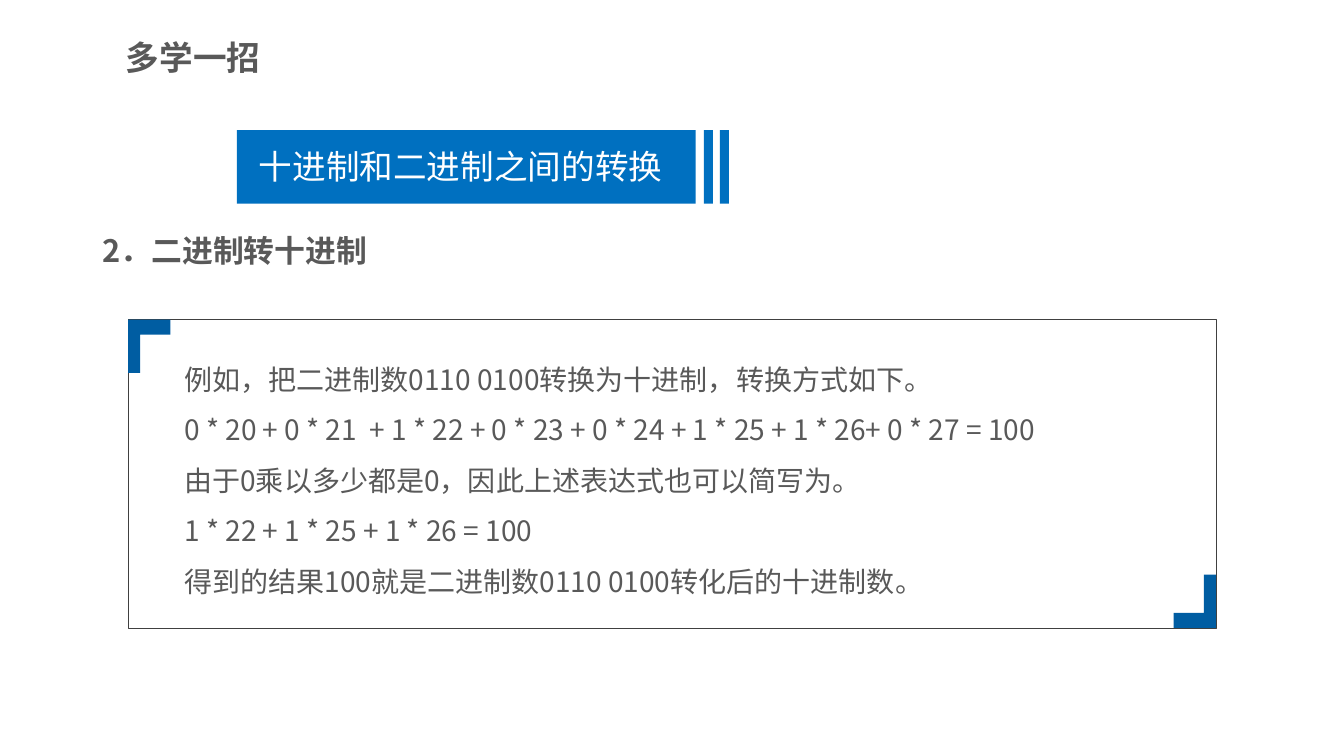
from lxml import etree
from pptx import Presentation
from pptx.dml.color import RGBColor
from pptx.enum.shapes import MSO_SHAPE
from pptx.enum.text import MSO_ANCHOR, PP_ALIGN
from pptx.oxml.ns import qn
from pptx.util import Inches, Pt

HEADING = "多学一招"
BANNER = "十进制和二进制之间的转换"
SECTION = "2．二进制转十进制"
EXAMPLE = [
    "例如，把二进制数0110 0100转换为十进制，转换方式如下。",
    "0 * 20 + 0 * 21  + 1 * 22 + 0 * 23 + 0 * 24 + 1 * 25 + 1 * 26+ 0 * 27 = 100",
    "由于0乘以多少都是0，因此上述表达式也可以简写为。",
    "1 * 22 + 1 * 25 + 1 * 26 = 100",
    "得到的结果100就是二进制数0110 0100转化后的十进制数。",
]

GREY = RGBColor(0x59, 0x59, 0x59)
WHITE = RGBColor(0xFF, 0xFF, 0xFF)
BLUE = RGBColor(0x00, 0x70, 0xC0)
DARK_BLUE = RGBColor(0x00, 0x5D, 0xA2)
FRAME_GREY = RGBColor(0x40, 0x40, 0x40)
CJK_FONT = "Noto Sans CJK SC"

BANNER_TOP, BANNER_HEIGHT = 1.29, 0.73
BANNER_BARS = [(2.35, 4.55), (6.98, 0.09), (7.14, 0.09)]  # left, width
FRAME_LEFT, FRAME_TOP, FRAME_WIDTH, FRAME_HEIGHT = 1.27, 3.17, 10.79, 3.06
# Corner outline, measured inwards from a corner of the frame
CORNER = [(0, 0), (0.42, 0), (0.42, 0.15), (0.12, 0.15), (0.12, 0.53), (0, 0.53)]


def add_text(slide, box, lines, size, color=GREY, font=CJK_FONT, bold=False,
             align=PP_ALIGN.LEFT, spacing=1.0):
    frame = slide.shapes.add_textbox(*map(Inches, box)).text_frame
    frame.word_wrap = True
    frame.text = "\n".join(lines)
    for paragraph in frame.paragraphs:
        paragraph.alignment = align
        paragraph.line_spacing = spacing
        style = paragraph.font
        style.size, style.bold, style.name = Pt(size), bold, font
        style.color.rgb = color
        defaults = paragraph._p.pPr.find(qn("a:defRPr"))
        etree.SubElement(defaults, qn("a:ea")).set("typeface", font)
    return frame


def paint(shape, color):
    shape.shadow.inherit = False
    shape.fill.solid()
    shape.fill.fore_color.rgb = color
    shape.line.fill.background()


def add_corner(slide, x, y, direction):
    """Draw a corner mark at (x, y); direction is 1 or -1 for right-down or left-up."""
    points = [(Inches(x + direction * dx), Inches(y + direction * dy)) for dx, dy in CORNER]
    builder = slide.shapes.build_freeform(*points[0])
    builder.add_line_segments(points[1:], close=True)
    paint(builder.convert_to_shape(), DARK_BLUE)


def main():
    deck = Presentation()
    deck.slide_width, deck.slide_height = Inches(13.33), Inches(7.5)
    slide = deck.slides.add_slide(deck.slide_layouts[6])

    heading = add_text(slide, (1.25, 0.29, 4.26, 0.55), [HEADING], 24, bold=True)
    heading.margin_left = heading.margin_right = 0
    heading.vertical_anchor = MSO_ANCHOR.MIDDLE

    for left, width in BANNER_BARS:
        bar = slide.shapes.add_shape(
            MSO_SHAPE.RECTANGLE, *map(Inches, (left, BANNER_TOP, width, BANNER_HEIGHT)))
        paint(bar, BLUE)
    add_text(slide, (2.47, 1.4, 4.43, 0.5), [BANNER], 24, WHITE, "Arial",
             align=PP_ALIGN.JUSTIFY)

    add_text(slide, (0.92, 2.25, 2.91, 0.47), [SECTION], 22, bold=True)
    add_text(slide, (1.73, 3.38, 10.03, 2.62), EXAMPLE, 20, spacing=1.5)

    border = slide.shapes.add_shape(
        MSO_SHAPE.RECTANGLE,
        *map(Inches, (FRAME_LEFT, FRAME_TOP, FRAME_WIDTH, FRAME_HEIGHT)))
    border.shadow.inherit = False
    border.fill.background()
    border.line.color.rgb = FRAME_GREY
    border.line.width = Pt(0.25)
    add_corner(slide, FRAME_LEFT, FRAME_TOP, 1)
    add_corner(slide, FRAME_LEFT + FRAME_WIDTH, FRAME_TOP + FRAME_HEIGHT, -1)

    deck.save("out.pptx")


if __name__ == "__main__":
    main()
